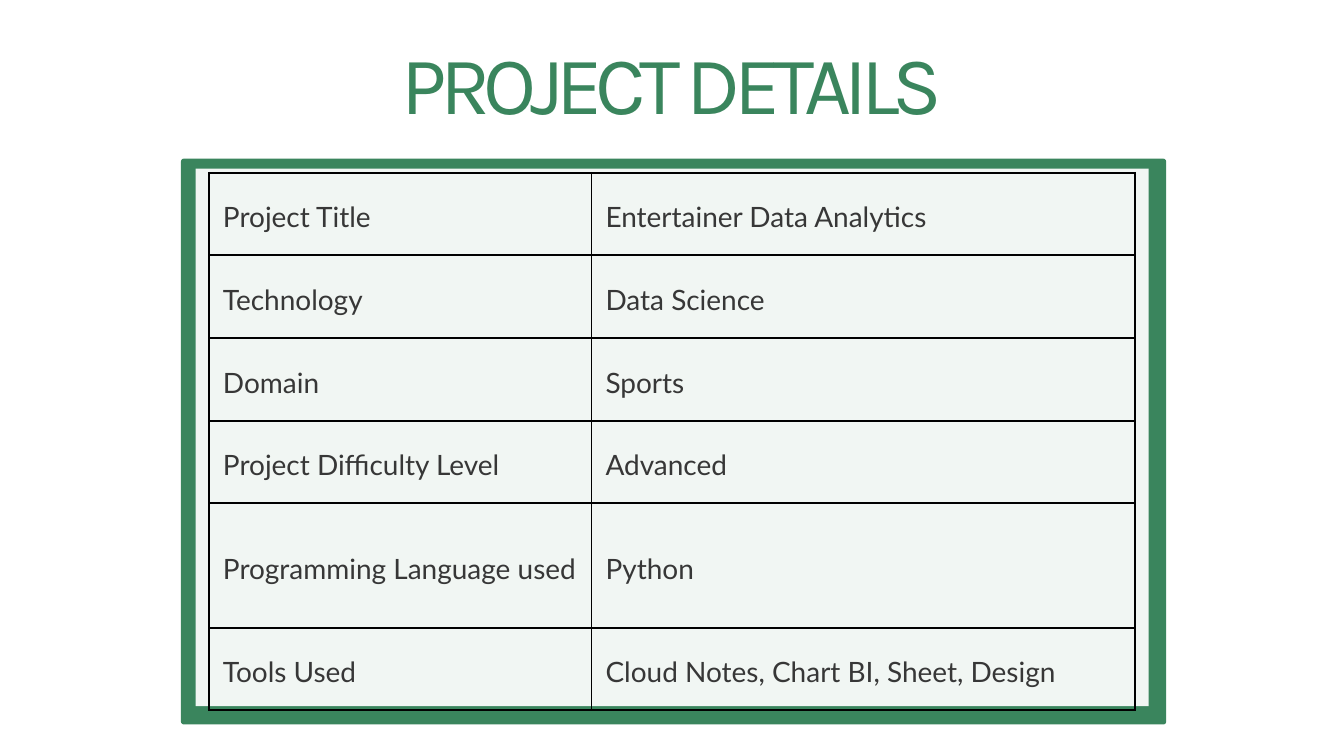
from lxml import etree
from pptx import Presentation
from pptx import util as u
from pptx.dml.color import RGBColor
from pptx.enum import shapes, text
from pptx.oxml.ns import qn

Pt = u.Pt
GREEN = RGBColor(0x3A, 0x85, 0x5D)
WHITE = RGBColor(0xFF, 0xFF, 0xFF)
BLACK = RGBColor(0x00, 0x00, 0x00)
CHARCOAL = RGBColor(0x37, 0x37, 0x37)

DETAILS = [
    ("Project Title", "Entertainer Data Analytics"),
    ("Technology", "Data Science"),
    ("Domain", "Sports"),
    ("Project Difficulty Level", "Advanced"),
    ("Programming Language used", "Python"),
    ("Tools Used", "Cloud Notes, Chart BI, Sheet, Design"),
]
COLUMN_WIDTHS = (409.9, 581.9)
ROW_HEIGHT, TALL_ROW_HEIGHT = 88.6, 133.2
TALL_ROW = 4


def write(paragraph, content, line_spacing, **font):
    paragraph.line_spacing = Pt(line_spacing)
    run = paragraph.add_run()
    run.text = content
    color = font.pop("color")
    for name, value in font.items():
        setattr(run.font, name, value)
    run.font.color.rgb = color
    return run


def add_block(slide, kind, box, color):
    block = slide.shapes.add_shape(kind, *map(Pt, box))
    block.shadow.inherit = False
    block.fill.solid()
    block.fill.fore_color.rgb = color
    block.line.fill.background()
    return block


def set_opacity(block, percent):
    color = block.fill._xPr.find(f"{qn('a:solidFill')}/{qn('a:srgbClr')}")
    etree.SubElement(color, qn("a:alpha"), val=str(percent * 1000))


def add_borders(cell, color, width):
    # Borders must come before the cell's fill
    properties = cell._tc.get_or_add_tcPr()
    for index, side in enumerate(("lnL", "lnR", "lnT", "lnB")):
        border = etree.Element(qn(f"a:{side}"), w=str(Pt(width)))
        fill = etree.SubElement(border, qn("a:solidFill"))
        etree.SubElement(fill, qn("a:srgbClr"), val=str(color))
        properties.insert(index, border)


def fill_cell(cell, content):
    settings = {f"margin_{side}": Pt(15)
                for side in ("left", "right", "top", "bottom")}
    settings["vertical_anchor"] = text.MSO_ANCHOR.MIDDLE
    for name, value in settings.items():
        setattr(cell, name, value)
    cell.fill.background()
    add_borders(cell, BLACK, 2.25)
    write(cell.text_frame.paragraphs[0], content, 42,
          name="Lato", size=Pt(30), color=CHARCOAL)


def add_details(slide, left, top):
    heights = [TALL_ROW_HEIGHT if row == TALL_ROW else ROW_HEIGHT
               for row in range(len(DETAILS))]
    details = slide.shapes.add_table(
        len(DETAILS), len(COLUMN_WIDTHS), Pt(left), Pt(top),
        Pt(sum(COLUMN_WIDTHS)), Pt(sum(heights))).table
    details.first_row = details.horz_banding = False
    for column, width in zip(details.columns, COLUMN_WIDTHS):
        column.width = Pt(width)
    for row, height, entries in zip(details.rows, heights, DETAILS):
        row.height = Pt(height)
        for cell, content in zip(row.cells, entries):
            fill_cell(cell, content)


def add_title(slide, content, box):
    frame = slide.shapes.add_textbox(*map(Pt, box)).text_frame
    settings = {f"margin_{side}": 0
                for side in ("left", "right", "top", "bottom")}
    settings.update(word_wrap=True, auto_size=text.MSO_AUTO_SIZE.SHAPE_TO_FIT_TEXT)
    for name, value in settings.items():
        setattr(frame, name, value)
    heading = frame.paragraphs[0]
    heading.alignment = text.PP_ALIGN.CENTER
    run = write(heading, content, 84.5, name="Karla", size=Pt(88), color=GREEN)
    run.font._element.set("spc", "-720")  # letter spacing, 1/100 pt


def main():
    deck = Presentation()
    deck.slide_width, deck.slide_height = Pt(1440), Pt(810)
    slide = deck.slides.add_slide(deck.slide_layouts[6])

    # Green frame with a translucent panel
    frame = add_block(slide, shapes.MSO_SHAPE.ROUNDED_RECTANGLE,
                      (193.9, 170, 1055.6, 606.2), GREEN)
    frame.adjustments[0] = 0.005
    panel = add_block(slide, shapes.MSO_SHAPE.RECTANGLE,
                      (209.6, 180.7, 1021, 576), WHITE)
    set_opacity(panel, 93)

    # Project facts
    add_details(slide, 223.9, 185)

    # Heading
    add_title(slide, "PROJECT DETAILS", (378.7, 55.4, 682.6, 90.7))

    deck.save("out.pptx")


if __name__ == "__main__":
    main()
